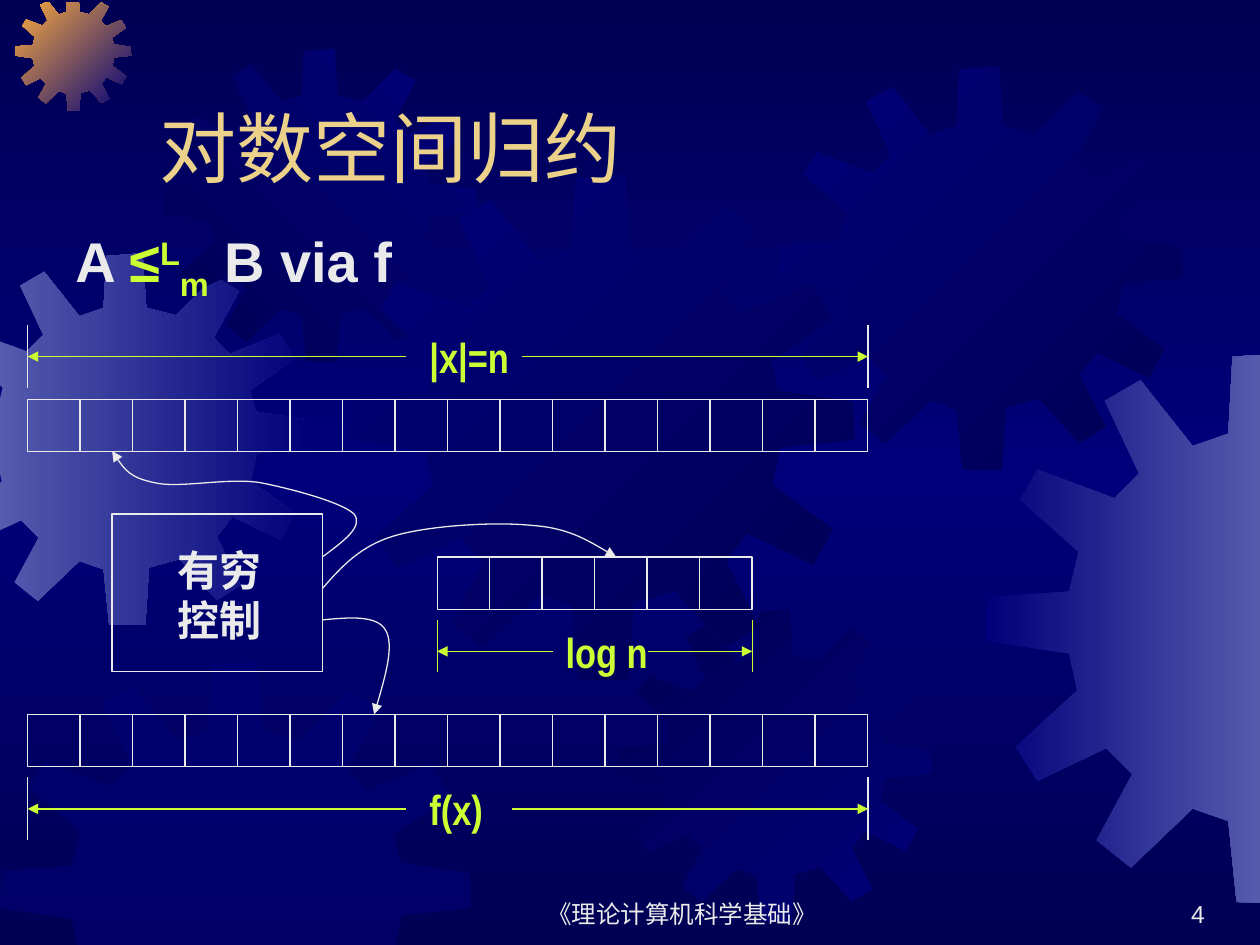
from pptx import Presentation
from pptx.dml.color import RGBColor
from pptx.enum.shapes import MSO_CONNECTOR, MSO_SHAPE
from pptx.enum.text import MSO_ANCHOR as ANCHOR, PP_ALIGN as ALIGN
from pptx.oxml.ns import qn
from pptx.util import Inches, Pt
from lxml.etree import SubElement

COLORS = {"text": "EAEAEA", "title": "EBD189", "lime": "CCFF33", "dark": "000054",
          "navy": "00007A", "haze": "555BAD", "orange": "FCAB40"}

CELL = 5 / 12  # side of one tape cell
BOUNDS = (-0.01, 0.02, 10.01, 7.54)  # gears are trimmed to this frame

# Twelve-toothed gear, drawn in a square of side GEAR_SIDE
GEAR_SIDE = 4.01
GEAR = [
    (2.55, 0.67), (2.23, 0.59), (2.19, 0), (1.80, 0.03), (1.77, 0.59), (1.51, 0.68),
    (1.13, 0.20), (0.87, 0.35), (1.12, 0.88), (0.94, 1.06), (0.38, 0.85), (0.25, 1.07),
    (0.68, 1.45), (0.61, 1.74), (0.01, 1.78), (0, 2.10), (0.61, 2.19), (0.67, 2.46),
    (0.22, 2.87), (0.38, 3.12), (0.88, 2.88), (1.07, 3.07), (0.81, 3.55), (1.06, 3.75),
    (1.51, 3.32), (1.77, 3.41), (1.83, 4.00), (2.22, 4.01), (2.26, 3.39), (2.59, 3.30),
    (2.99, 3.74), (3.25, 3.58), (2.99, 3.06), (3.16, 2.84), (3.68, 3.09), (3.84, 2.81),
    (3.36, 2.46), (3.42, 2.16), (4.01, 2.10), (4.00, 1.80), (3.41, 1.71), (3.35, 1.48),
    (3.83, 1.14), (3.67, 0.87), (3.13, 1.09), (2.96, 0.91), (3.23, 0.41), (2.97, 0.25),
]

# left, top, side, first colour, last colour, angle
GEARS = [
    (-0.48, 2.01, 2.95, "haze", "navy", 0),
    (0.12, -0.04, 0.92, "orange", "navy", 45),
    (1.30, 0.39, 2.48, "dark", "navy", 315),
    (2.77, 1.39, 4.01, "navy", "dark", 45),
    (0, 5.25, 3.74, "navy", None, None),
    (4.91, 4.84, 2.48, "dark", "navy", 45),
    (6.18, 0.53, 3.20, "navy", "dark", 45),
    (7.82, 2.80, 4.37, "navy", "haze", 0),
]

# Heads of the finite control: start point, then Bézier points in threes
HEADS = [
    [(2.56, 4.67), (2.71, 4.5), (2.86, 4.33), (3.14, 4.25), (3.42, 4.17), (3.93, 4.14),
     (4.22, 4.17), (4.51, 4.19), (4.7, 4.31), (4.89, 4.42)],
    [(2.56, 4.42), (2.72, 4.3), (2.89, 4.18), (2.81, 4.08), (2.72, 3.99), (2.32, 3.88),
     (2.06, 3.83), (1.79, 3.79), (1.42, 3.88), (1.22, 3.83), (1.03, 3.79), (0.96, 3.69),
     (0.89, 3.58)],
    [(2.56, 4.92), (2.77, 4.9), (2.99, 4.88), (3.06, 5), (3.13, 5.12), (3.05, 5.4),
     (2.97, 5.67)],
]


def rgb(name):
    return RGBColor.from_string(COLORS[name])


def fill_gradient(fill, element, names, angle):
    """Evenly spaced stops; the angle runs clockwise in degrees."""
    fill.gradient()
    stops = element.find(".//" + qn("a:gsLst"))
    for stop in list(stops):
        stops.remove(stop)
    for index, name in enumerate(names):
        stop = SubElement(stops, qn("a:gs"), pos=str(100000 * index // (len(names) - 1)))
        SubElement(stop, qn("a:srgbClr"), val=COLORS[name])
    element.find(".//" + qn("a:lin")).set("ang", str(angle * 60000))


def style_line(shape, color, arrow=False):
    shape.line.color.rgb = rgb(color)
    shape.line.width = Pt(0.75)
    if arrow:
        SubElement(shape.element.spPr.find(qn("a:ln")), qn("a:tailEnd"), type="triangle")


def clip(points, axis, limit, sign):
    """Keep the part of the polygon where sign * (coordinate - limit) <= 0."""
    kept = []
    for start, end in zip(points[-1:] + points[:-1], points):
        before, after = (sign * (point[axis] - limit) for point in (start, end))
        if before * after < 0:
            share = before / (before - after)
            kept.append(tuple(a + share * (b - a) for a, b in zip(start, end)))
        if after <= 0:
            kept.append(end)
    return kept


def add_outline(shapes, points, close):
    start, *others = [(Inches(x), Inches(y)) for x, y in points]
    builder = shapes.build_freeform(*start)
    builder.add_line_segments(others, close=close)
    shape = builder.convert_to_shape()
    shape.shadow.inherit = False
    return shape


def add_gear(shapes, left, top, side, first, last, angle):
    scale = side / GEAR_SIDE
    points = [(left + x * scale, top + y * scale) for x, y in GEAR]
    for index, limit in enumerate(BOUNDS):
        points = clip(points, index % 2, limit, -1 if index < 2 else 1)
    gear = add_outline(shapes, points, close=True)
    gear.line.fill.background()
    if last:
        fill_gradient(gear.fill, gear.element, (first, last), angle)
    else:
        gear.fill.solid()
        gear.fill.fore_color.rgb = rgb(first)
        color = gear.element.spPr.find(".//" + qn("a:srgbClr"))
        SubElement(color, qn("a:alpha"), val="50000")


def add_head(shapes, points):
    head = add_outline(shapes, points, close=False)
    head.fill.background()
    style_line(head, "text", arrow=True)
    # Turn each three straight segments into one curve
    path = head.element.find(".//" + qn("a:path"))
    for index, segment in enumerate(path.findall(qn("a:lnTo"))):
        if index % 3 == 0:
            curve = SubElement(path, qn("a:cubicBezTo"))
        curve.append(segment[0])
        path.remove(segment)


def add_box(shapes, left, top, width, height):
    box = shapes.add_shape(MSO_SHAPE.RECTANGLE, *map(Inches, (left, top, width, height)))
    box.shadow.inherit = False
    box.fill.background()
    style_line(box, "text")


def add_tape(slide, left, top, count):
    group = slide.shapes.add_group_shape()
    for index in range(count):
        add_box(group.shapes, left + index * CELL, top, CELL, CELL)


def add_line(shapes, x1, y1, x2, y2, color, arrow=False):
    line = shapes.add_connector(MSO_CONNECTOR.STRAIGHT, *map(Inches, (x1, y1, x2, y2)))
    style_line(line, color, arrow)
    SubElement(line.element.spPr, qn("a:effectLst"))


def add_text(shapes, frame, runs, size, font="Arial", bold=False, align=ALIGN.LEFT,
             anchor=ANCHOR.TOP):
    """Each run is text, colour and baseline shift in percent."""
    text_frame = shapes.add_textbox(*map(Inches, frame)).text_frame
    text_frame.word_wrap = True
    text_frame.vertical_anchor = anchor
    paragraph = text_frame.paragraphs[0]
    paragraph.alignment = align
    paragraph.font.size, paragraph.font.name, paragraph.font.bold = Pt(size), font, bold
    for text, color, shift in runs:
        run = paragraph.add_run()
        run.text = text
        run.font.color.rgb = rgb(color)
        if shift:
            run._r.get_or_add_rPr().set("baseline", str(shift * 1000))


def add_label(shapes, frame, text, color):
    add_text(shapes, frame, [(text, color, 0)], 24, "Arial Narrow", bold=True)


def add_dimension(shapes, ends, gap, top, height, tick_color, text, label_left, label_width):
    middle = top + 0.25
    for end, inner in zip(ends, gap):
        add_line(shapes, end, top, end, top + height, tick_color)
        add_line(shapes, inner, middle, end, middle, "lime", arrow=True)
    add_label(shapes, (label_left, top, label_width, 0.5), text, "lime")


def main():
    presentation = Presentation()
    presentation.slide_width, presentation.slide_height = Inches(10), Inches(7.5)
    slide = presentation.slides.add_slide(presentation.slide_layouts[6])
    shapes = slide.shapes

    # Background
    fill_gradient(slide.background.fill, slide.element, ("dark", "navy", "dark"), 90)
    for gear in GEARS:
        add_gear(shapes, *gear)

    # Footer, title and statement
    add_text(shapes, (3.83, 6.92, 3.17, 0.5), [("《理论计算机科学基础》", "text", 0)], 14,
             align=ALIGN.CENTER, anchor=ANCHOR.BOTTOM)
    add_text(shapes, (7.58, 6.92, 2.08, 0.5), [("4", "text", 0)], 14,
             align=ALIGN.RIGHT, anchor=ANCHOR.BOTTOM)
    add_text(shapes, (1.17, 0.33, 8.5, 1.25), [("对数空间归约", "title", 0)], 44,
             anchor=ANCHOR.BOTTOM)
    add_text(shapes, (0.5, 1.75, 9, 0.92),
             [("A ", "text", 0), ("≤", "lime", 0), ("L", "lime", 30), ("m", "lime", -25),
              (" B via f", "text", 0)], 32, bold=True)

    # Input, output and work tapes
    add_tape(slide, 0.22, 3.17, 16)
    add_tape(slide, 0.22, 5.67, 16)
    add_tape(slide, 3.47, 4.42, 6)

    # Finite control and its heads
    add_box(shapes, 0.89, 4.08, 1.67, 1.25)
    add_label(shapes, (1.31, 4.27, 1, 0.9), "有穷控制", "text")
    for head in HEADS:
        add_head(shapes, head)

    # Tape lengths
    add_dimension(shapes, (3.47, 5.97), (4.39, 5.14), 4.92, 0.41, "lime", "log n", 4.39, 1)
    add_dimension(shapes, (0.22, 6.89), (3.22, 4.14), 2.58, 0.5, "text", "|x|=n", 3.31, 0.92)
    add_dimension(shapes, (0.22, 6.89), (3.22, 4.06), 6.17, 0.5, "text", "f(x)", 3.31, 0.92)

    presentation.save("out.pptx")


if __name__ == "__main__":
    main()
